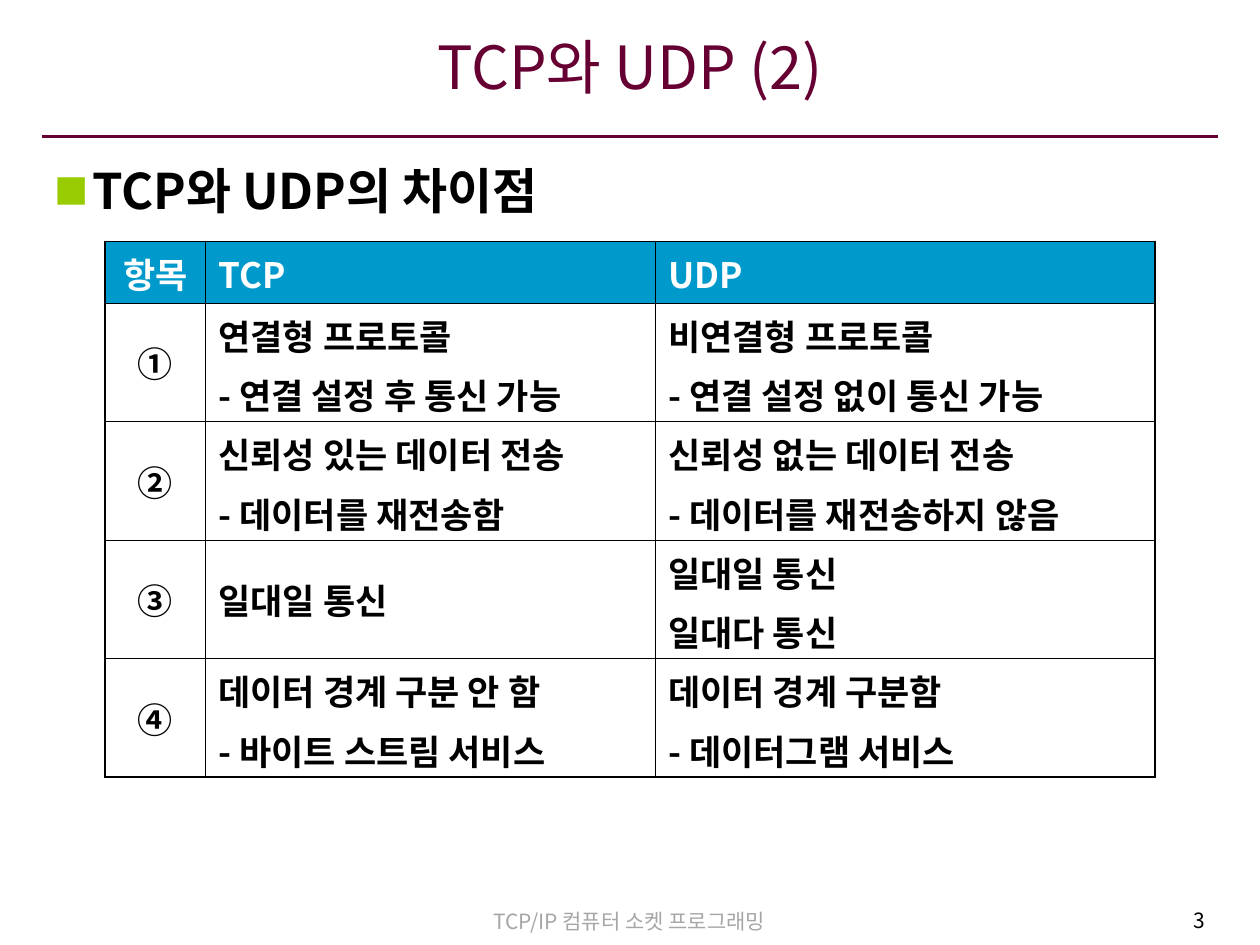
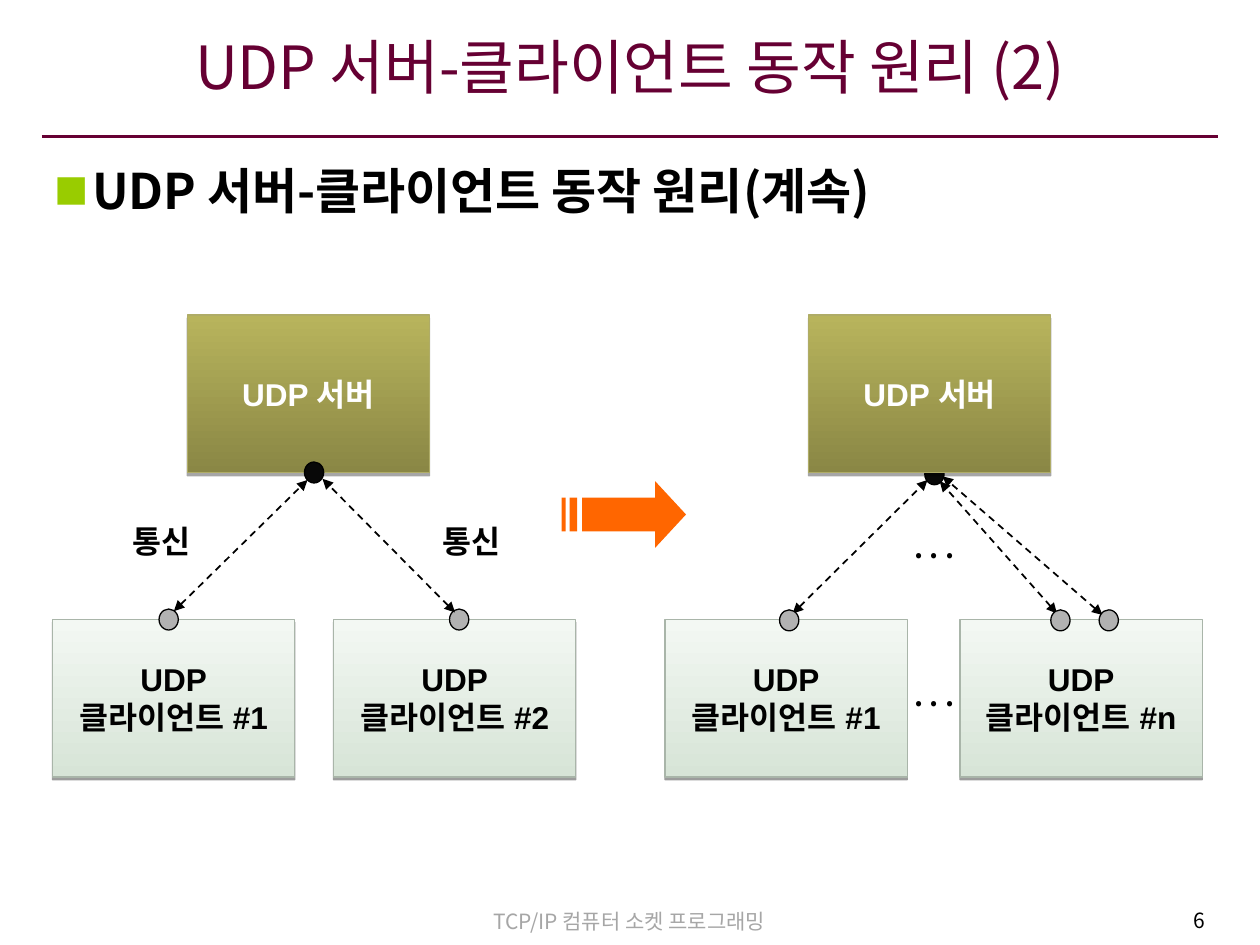
from lxml.etree import SubElement
from pptx import Presentation
from pptx.dml.color import RGBColor
from pptx.enum.dml import MSO_LINE
from pptx.enum.shapes import MSO_CONNECTOR, MSO_SHAPE
from pptx.enum.text import MSO_ANCHOR, MSO_AUTO_SIZE, PP_ALIGN
from pptx.oxml.ns import qn
from pptx.util import Pt

BLACK = RGBColor(0x00, 0x00, 0x00)
WHITE = RGBColor(0xFF, 0xFF, 0xFF)
MAROON = RGBColor(0x66, 0x00, 0x33)
FOOTER_GRAY = RGBColor(0xA6, 0xA6, 0xA6)
HEADER_BLUE = RGBColor(0x00, 0x99, 0xCC)
ARROW_ORANGE = RGBColor(0xFF, 0x66, 0x00)
SERVER_DOT = RGBColor(0x08, 0x08, 0x08)
CLIENT_DOT = RGBColor(0xB2, 0xB2, 0xB2)
SERVER_DARK = RGBColor(0x8A, 0x87, 0x45)
SERVER_LIGHT = RGBColor(0xB8, 0xB4, 0x5C)
SERVER_LINE = RGBColor(0xAF, 0xAC, 0x67)
CLIENT_DARK = RGBColor(0xD7, 0xE4, 0xD7)
CLIENT_LIGHT = RGBColor(0xF3, 0xF8, 0xF3)
CLIENT_LINE = RGBColor(0xA9, 0xB5, 0xA9)
BULLET_GREEN = "99CC00"

KOREAN_FONT = "Noto Sans CJK KR"
LATIN_FONT = "Arial"

BOX_WIDTH, BOX_HEIGHT = 138.5, 90
SERVER_TOP, CLIENT_TOP = 180, 354
DOT_WIDTH, DOT_HEIGHT = 11, 12

COLUMN_WIDTHS = (57.6, 257, 285.4)
ROW_HEIGHTS = (35.3, 67.7, 67.7, 67.7, 67.7)
COMPARISON = (
    ("항목", "TCP", "UDP"),
    ("①", "연결형 프로토콜\n- 연결 설정 후 통신 가능", "비연결형 프로토콜\n- 연결 설정 없이 통신 가능"),
    ("②", "신뢰성 있는 데이터 전송\n- 데이터를 재전송함", "신뢰성 없는 데이터 전송\n- 데이터를 재전송하지 않음"),
    ("③", "일대일 통신", "일대일 통신\n일대다 통신"),
    ("④", "데이터 경계 구분 안 함\n- 바이트 스트림 서비스", "데이터 경계 구분함\n- 데이터그램 서비스"),
)


def write_text(frame, text, size, color=BLACK, bold=False, font=KOREAN_FONT,
               align=PP_ALIGN.LEFT, anchor=MSO_ANCHOR.TOP, space_before=0):
    frame.word_wrap = True
    frame.vertical_anchor = anchor
    for index, line in enumerate(text.split("\n")):
        paragraph = frame.add_paragraph() if index else frame.paragraphs[0]
        paragraph.alignment = align
        paragraph.space_before = Pt(space_before)
        run = paragraph.add_run()
        run.text = line
        run.font.name = font
        run.font.size = Pt(size)
        run.font.bold = bold
        run.font.color.rgb = color
        SubElement(run._r.get_or_add_rPr(), qn("a:ea"), typeface=font)


def add_text(slide, left, top, width, height, text, size, **style):
    box = slide.shapes.add_textbox(Pt(left), Pt(top), Pt(width), Pt(height))
    write_text(box.text_frame, text, size, **style)
    return box


def add_line(slide, start, end, color, width):
    connector = slide.shapes.add_connector(
        MSO_CONNECTOR.STRAIGHT, *(Pt(value) for value in (*start, *end)))
    connector.line.color.rgb = color
    connector.line.width = Pt(width)
    SubElement(connector._element.spPr, qn("a:effectLst"))
    return connector


def add_two_way_arrow(slide, start, end):
    connector = add_line(slide, start, end, BLACK, 1)
    connector.line.dash_style = MSO_LINE.DASH
    line_properties = connector.line._get_or_add_ln()
    for end_name in ("a:headEnd", "a:tailEnd"):
        SubElement(line_properties, qn(end_name), type="triangle")


def add_bullet(slide, text):
    box = add_text(slide, 24, 88, 672, 422, text, 28, bold=True, space_before=7)
    properties = box.text_frame.paragraphs[0]._p.get_or_add_pPr()
    properties.set("marL", str(Pt(21.6)))
    properties.set("indent", str(Pt(-21.6)))
    bullet_color = SubElement(properties, qn("a:buClr"))
    SubElement(bullet_color, qn("a:srgbClr"), val=BULLET_GREEN)
    SubElement(properties, qn("a:buSzPct"), val="70000")
    SubElement(properties, qn("a:buFont"), typeface=KOREAN_FONT)
    SubElement(properties, qn("a:buChar"), char="■")


def add_content_slide(presentation, title_text, bullet_text, number):
    slide = presentation.slides.add_slide(presentation.slide_layouts[5])
    add_line(slide, (24, 78), (696, 78), MAROON, 2.25)
    add_text(slide, 206.6, 515.5, 306, 21.6, "TCP/IP 컴퓨터 소켓 프로그래밍", 12,
             color=FOOTER_GRAY, align=PP_ALIGN.CENTER)
    add_text(slide, 543, 514.8, 152.6, 23.8, str(number), 12, align=PP_ALIGN.RIGHT)
    title = slide.shapes.title
    title.left, title.top, title.width, title.height = Pt(24), Pt(10.8), Pt(672), Pt(61.2)
    frame = title.text_frame
    frame.auto_size = MSO_AUTO_SIZE.NONE
    frame.margin_left = frame.margin_right = Pt(5.8)
    frame.margin_top, frame.margin_bottom = Pt(3.6), Pt(11.5)
    write_text(frame, title_text, 34, color=MAROON, align=PP_ALIGN.CENTER,
               anchor=MSO_ANCHOR.MIDDLE)
    add_bullet(slide, bullet_text)
    return slide


def set_borders(cell, outer_sides):
    properties = cell._tc.get_or_add_tcPr()
    for side in "LRTB":
        width = Pt(1.08 if side in outer_sides else 0.45)
        border = SubElement(properties, qn(f"a:ln{side}"), w=str(width))
        fill = SubElement(border, qn("a:solidFill"))
        SubElement(fill, qn("a:srgbClr"), val=str(BLACK))


def add_comparison_table(slide):
    last_row, last_column = len(ROW_HEIGHTS) - 1, len(COLUMN_WIDTHS) - 1
    table = slide.shapes.add_table(
        len(ROW_HEIGHTS), len(COLUMN_WIDTHS), Pt(60), Pt(138),
        Pt(sum(COLUMN_WIDTHS)), Pt(sum(ROW_HEIGHTS))).table
    table.horz_banding = False
    for column, width in zip(table.columns, COLUMN_WIDTHS):
        column.width = Pt(width)
    for row, height in zip(table.rows, ROW_HEIGHTS):
        row.height = Pt(height)
    for row_index, texts in enumerate(COMPARISON):
        is_header = row_index == 0
        for column_index, text in enumerate(texts):
            cell = table.cell(row_index, column_index)
            outer_sides = {
                side for side, is_outer in (
                    ("L", column_index == 0), ("R", column_index == last_column),
                    ("T", is_header), ("B", row_index == last_row)) if is_outer}
            set_borders(cell, outer_sides)
            if is_header:
                cell.fill.solid()
                cell.fill.fore_color.rgb = HEADER_BLUE
            else:
                cell.fill.background()
            cell.vertical_anchor = MSO_ANCHOR.MIDDLE
            write_text(cell.text_frame, text, 20, bold=True, space_before=5,
                       color=WHITE if is_header else BLACK,
                       align=PP_ALIGN.LEFT if column_index else PP_ALIGN.CENTER,
                       anchor=MSO_ANCHOR.MIDDLE)


def add_drop_shadow(shape, distance, opacity):
    effects = SubElement(shape._element.spPr, qn("a:effectLst"))
    shadow = SubElement(effects, qn("a:outerShdw"), blurRad="0", dist=str(Pt(distance)),
                        dir="5400000", rotWithShape="0")
    color = SubElement(shadow, qn("a:srgbClr"), val=str(BLACK))
    SubElement(color, qn("a:alpha"), val=str(opacity * 1000))


def add_box(slide, left, top, text, text_color, dark, light, line_color, distance, opacity):
    box = slide.shapes.add_shape(
        MSO_SHAPE.RECTANGLE, Pt(left), Pt(top), Pt(BOX_WIDTH), Pt(BOX_HEIGHT))
    box.fill.gradient()
    box.fill.gradient_angle = 90
    for stop, position, color in zip(box.fill.gradient_stops, (0, 1), (dark, light)):
        stop.position = position
        stop.color.rgb = color
    box.line.color.rgb = line_color
    box.line.width = Pt(0.75)
    add_drop_shadow(box, distance, opacity)
    write_text(box.text_frame, text, 18, color=text_color, bold=True, font=LATIN_FONT,
               align=PP_ALIGN.CENTER, anchor=MSO_ANCHOR.MIDDLE)


def add_server(slide, left):
    add_box(slide, left, SERVER_TOP, "UDP 서버", WHITE,
            SERVER_DARK, SERVER_LIGHT, SERVER_LINE, 1.8, 35)


def add_client(slide, left, name):
    add_box(slide, left, CLIENT_TOP, f"UDP\n클라이언트 {name}", BLACK,
            CLIENT_DARK, CLIENT_LIGHT, CLIENT_LINE, 1.6, 38)


def add_dot(slide, center_x, center_y, color):
    dot = slide.shapes.add_shape(
        MSO_SHAPE.OVAL, Pt(center_x - DOT_WIDTH / 2), Pt(center_y - DOT_HEIGHT / 2),
        Pt(DOT_WIDTH), Pt(DOT_HEIGHT))
    dot.shadow.inherit = False
    dot.fill.solid()
    dot.fill.fore_color.rgb = color
    dot.line.color.rgb = BLACK
    dot.line.width = Pt(0.75)


def add_striped_arrow(slide):
    top, shaft_top, middle, shaft_bottom, bottom = 275, 284.4, 294, 303.6, 313
    body = ((374.4, top), (374.4, shaft_top), (332.6, shaft_top), (332.6, shaft_bottom),
            (374.4, shaft_bottom), (374.4, bottom), (392, middle))
    stripes = [((left, shaft_top), (left, shaft_bottom),
                (right, shaft_bottom), (right, shaft_top))
               for left, right in ((325.5, 329.8), (321, 323.2))]
    builder = slide.shapes.build_freeform(Pt(body[0][0]), Pt(body[0][1]))
    for index, outline in enumerate((body, *stripes)):
        points = [(Pt(x), Pt(y)) for x, y in outline]
        if index:
            builder.move_to(*points[0])
        builder.add_line_segments(points[1:], close=True)
    arrow = builder.convert_to_shape()
    arrow.shadow.inherit = False
    arrow.fill.solid()
    arrow.fill.fore_color.rgb = ARROW_ORANGE
    arrow.line.fill.background()


def add_two_client_diagram(slide):
    add_server(slide, 107)
    add_dot(slide, 179.5, 270, SERVER_DOT)
    for left, name, dot_x in ((30, "#1", 96.4), (190.6, "#2", 262.4)):
        add_client(slide, left, name)
        add_dot(slide, dot_x, CLIENT_TOP, CLIENT_DOT)
    for start, end in (((99.4, 349.2), (175.7, 274.3)), ((260, 350), (184.3, 273.6))):
        add_two_way_arrow(slide, start, end)
    for left in (68.4, 246):
        add_text(slide, left, 300, 122, 18, "통신", 18, bold=True, anchor=MSO_ANCHOR.MIDDLE)


def add_many_client_diagram(slide):
    add_dot(slide, 534, 271, SERVER_DOT)
    for start, end in (((453, 350.6), (530, 274.3)), ((604, 350.6), (537, 275)),
                       ((630, 351.4), (538.6, 272.2))):
        add_two_way_arrow(slide, start, end)
    for top in (270.7, 355):
        add_text(slide, 506.2, top, 55.4, 84.2, ". . .", 16, bold=True,
                 align=PP_ALIGN.CENTER, anchor=MSO_ANCHOR.MIDDLE)
    add_server(slide, 462)
    for left, name in ((380, "#1"), (548.6, "#n")):
        add_client(slide, left, name)
    for center_x in (451, 606, 633.6):
        add_dot(slide, center_x, CLIENT_TOP + 0.5, CLIENT_DOT)


def main():
    presentation = Presentation()
    presentation.slide_width, presentation.slide_height = Pt(720), Pt(540)
    comparison = add_content_slide(presentation, "TCP와 UDP (2)", "TCP와 UDP의 차이점", 3)
    add_comparison_table(comparison)
    operation = add_content_slide(presentation, "UDP 서버-클라이언트 동작 원리 (2)",
                                  "UDP 서버-클라이언트 동작 원리(계속)", 6)
    add_striped_arrow(operation)
    add_two_client_diagram(operation)
    add_many_client_diagram(operation)
    presentation.save("out.pptx")


if __name__ == "__main__":
    main()
